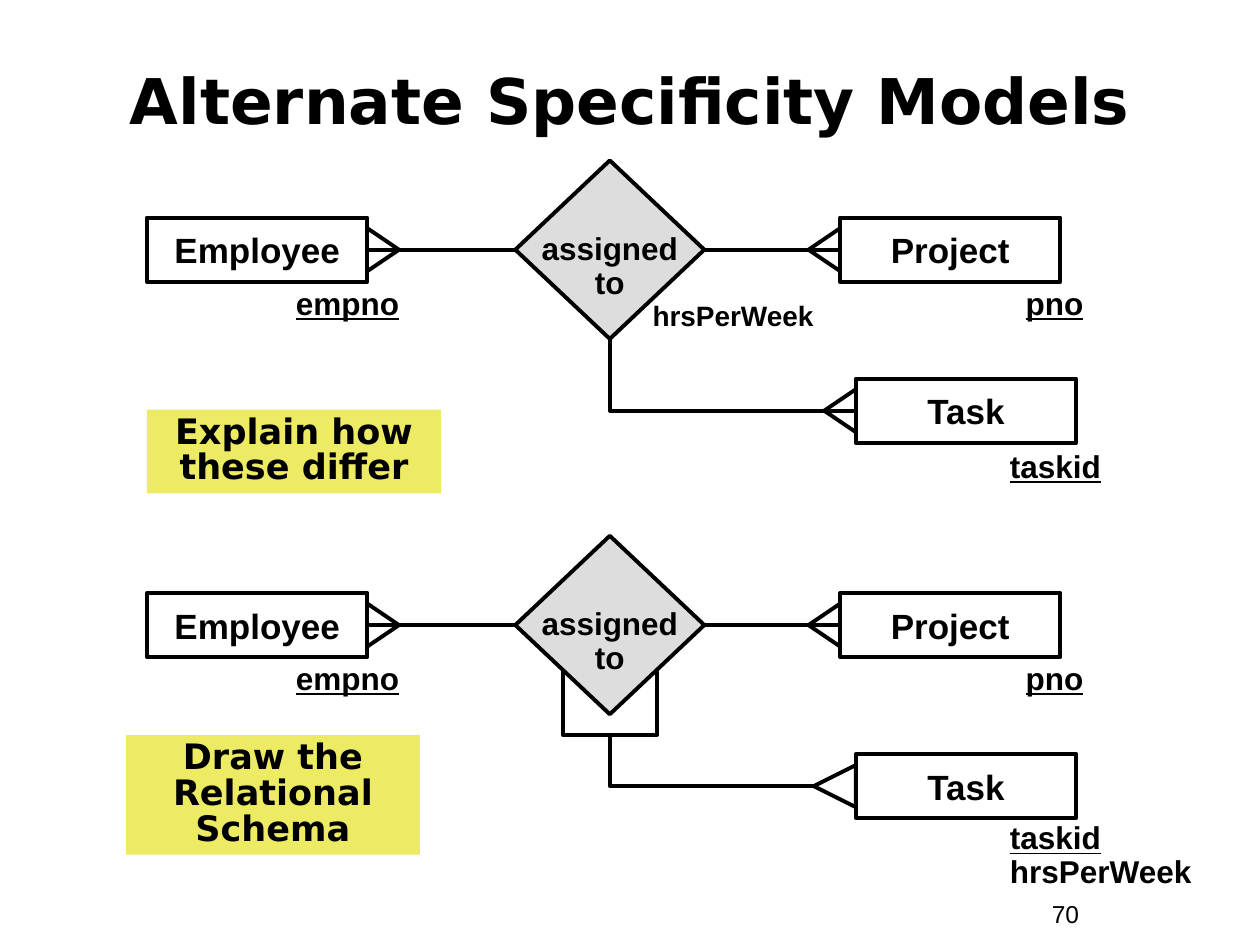
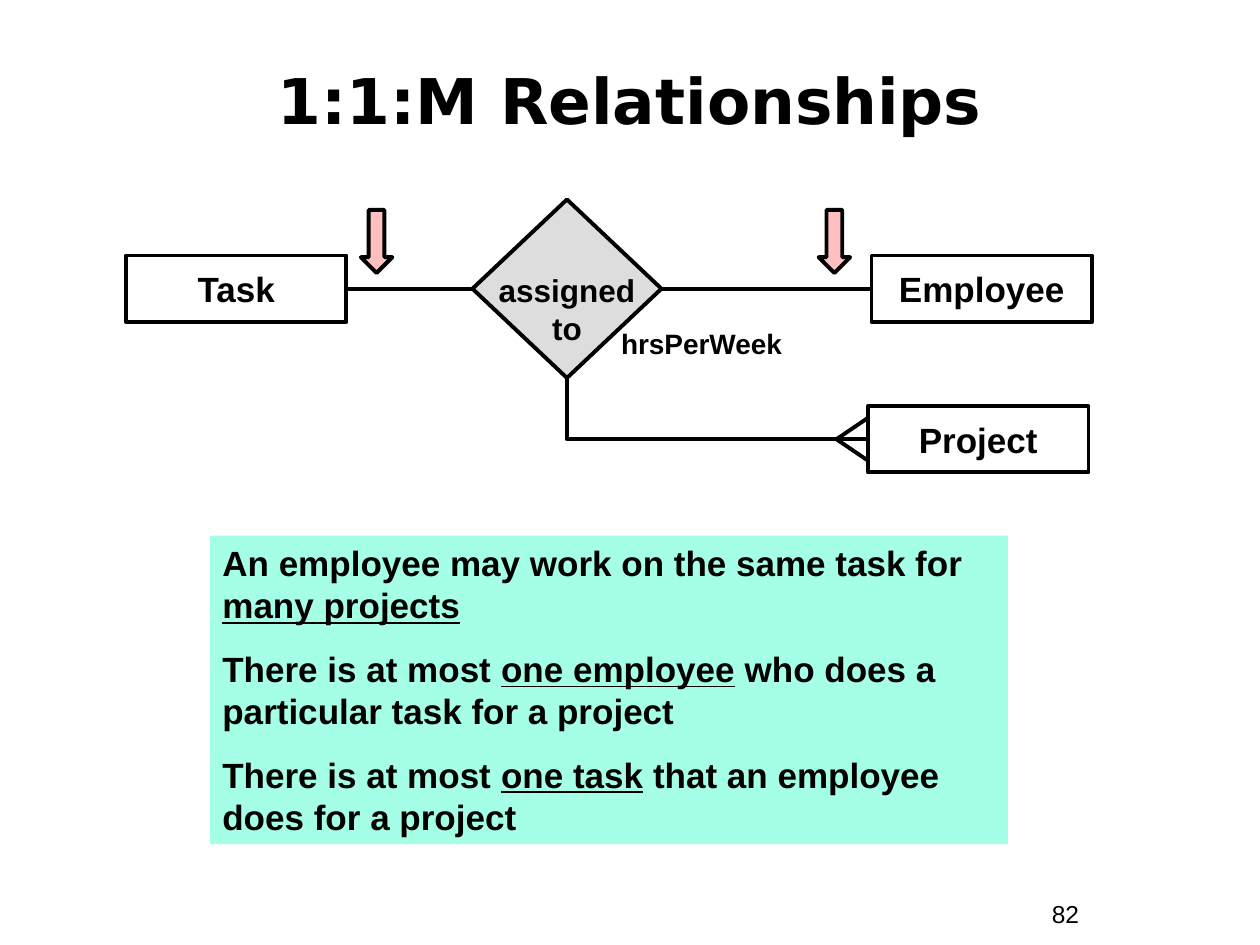
from dataclasses import dataclass
from typing import NamedTuple

from lxml.etree import SubElement
from pptx import Presentation
from pptx.dml.color import RGBColor
from pptx.enum.shapes import MSO_CONNECTOR, MSO_SHAPE
from pptx.enum.text import MSO_ANCHOR, PP_ALIGN
from pptx.oxml.ns import qn
from pptx.util import Pt

TOP, LEFT, BOTTOM, RIGHT = range(4)


@dataclass(frozen=True)
class Theme:
    ink: str = "000000"
    diamond: str = "DDDDDD"
    prompt: str = "EDEA63"
    rules: str = "A5FFE7"
    arrow: str = "FFBFBF"
    heading_font: str = "DejaVu Sans"
    body_font: str = "Arial"
    title_size: float = 36
    large_size: float = 20
    key_size: float = 18
    attribute_size: float = 16
    number_size: float = 14
    line_width: float = 2.25


THEME = Theme()


@dataclass(frozen=True)
class TextStyle:
    size: float
    font: str = THEME.body_font
    bold: bool = True
    align: PP_ALIGN = PP_ALIGN.LEFT
    line_spacing: float = 1.0
    gap: float = 0


class Box(NamedTuple):
    left: float
    top: float
    width: float
    height: float


class Span(NamedTuple):
    text: str
    underline: bool = False


class Entity(NamedTuple):
    name: str
    left: float
    middle: float
    height: float = 36.7


class Label(NamedTuple):
    left: float
    top: float
    width: float
    paragraphs: list
    style: TextStyle


TITLE = TextStyle(THEME.title_size, THEME.heading_font, align=PP_ALIGN.CENTER)
ENTITY = TextStyle(THEME.large_size, align=PP_ALIGN.CENTER)
PROMPT = TextStyle(THEME.large_size, THEME.heading_font, align=PP_ALIGN.CENTER, line_spacing=0.85)
RULES = TextStyle(THEME.large_size, gap=12.5)
KEY = TextStyle(THEME.key_size, line_spacing=0.85)
TASK_KEY = TextStyle(THEME.key_size, line_spacing=0.9)
ATTRIBUTE = TextStyle(THEME.attribute_size, line_spacing=0.9)
NUMBER = TextStyle(THEME.number_size, bold=False)

ENTITY_WIDTH = 126
DIAMOND_WIDTH, DIAMOND_HEIGHT = 108, 102
FOOT_LENGTH, FOOT_SPREAD = 18, 12.2
HOURS = [[Span("hrsPerWeek")]]


def color(value: str) -> RGBColor:
    return RGBColor.from_string(value)


def write(frame, paragraphs: list, style: TextStyle) -> None:
    """Fill a text frame with paragraphs of spans; a newline is a line break."""
    for index, spans in enumerate(paragraphs):
        para = frame.add_paragraph() if index else frame.paragraphs[0]
        para.alignment = style.align
        para.line_spacing = style.line_spacing
        para.space_before = Pt(style.gap if index else 0)
        for text, underline in spans:
            for row, part in enumerate(text.split("\n")):
                if row:
                    para.add_line_break()
                span = para.add_run()
                span.text = part
                span.font.name = style.font
                span.font.size = Pt(style.size)
                span.font.bold = style.bold
                span.font.underline = underline
                span.font.color.rgb = color(THEME.ink)


def add_box(page, kind, box: Box, fill: str = "", outlined: bool = True):
    shape = page.shapes.add_shape(kind, *map(Pt, box))
    shape.shadow.inherit = False
    if fill:
        shape.fill.solid()
        shape.fill.fore_color.rgb = color(fill)
    else:
        shape.fill.background()
    if outlined:
        shape.line.color.rgb = color(THEME.ink)
        shape.line.width = Pt(THEME.line_width)
    else:
        shape.line.fill.background()
    return shape


def add_panel(page, box: Box, fill: str, paragraphs: list, style: TextStyle) -> None:
    frame = add_box(page, MSO_SHAPE.RECTANGLE, box, fill, outlined=False).text_frame
    frame.word_wrap = True
    frame.vertical_anchor = MSO_ANCHOR.TOP
    write(frame, paragraphs, style)


def add_label(page, label: Label) -> None:
    box = page.shapes.add_textbox(Pt(label.left), Pt(label.top), Pt(label.width), Pt(25))
    box.text_frame.word_wrap = True
    write(box.text_frame, label.paragraphs, label.style)


def add_entity(page, entity: Entity):
    box = Box(entity.left, entity.middle - entity.height / 2, ENTITY_WIDTH, entity.height)
    shape = add_box(page, MSO_SHAPE.RECTANGLE, box)
    shape.text_frame.word_wrap = False
    shape.text_frame.vertical_anchor = MSO_ANCHOR.MIDDLE
    write(shape.text_frame, [[Span(entity.name)]], ENTITY)
    return shape


def add_diamond(page, center: float, middle: float, line_spacing: float, inset: float):
    """Draw the relationship; the top inset lowers its name below the middle."""
    box = Box(center - DIAMOND_WIDTH / 2, middle - DIAMOND_HEIGHT / 2, DIAMOND_WIDTH, DIAMOND_HEIGHT)
    shape = add_box(page, MSO_SHAPE.FLOWCHART_DECISION, box, THEME.diamond)
    frame = shape.text_frame
    frame.word_wrap = False
    frame.vertical_anchor = MSO_ANCHOR.MIDDLE
    frame.margin_top = Pt(inset)
    style = TextStyle(THEME.key_size, align=PP_ALIGN.CENTER, line_spacing=line_spacing)
    write(frame, [[Span("assigned\nto")]], style)
    return shape


def add_line(page, start: tuple, end: tuple, kind=MSO_CONNECTOR.STRAIGHT):
    line = page.shapes.add_connector(kind, *map(Pt, start + end))
    line.line.color.rgb = color(THEME.ink)
    line.line.width = Pt(THEME.line_width)
    SubElement(line._element.spPr, qn("a:effectLst"))
    return line


def join(page, first, first_side: int, second, second_side: int) -> None:
    line = add_line(page, (0, 0), (0, 0))
    line.begin_connect(first, first_side)
    line.end_connect(second, second_side)


def add_elbow(page, start: tuple, end: tuple) -> None:
    """Run down from start, then right to end, as a quarter-turned single bend."""
    center, middle = (start[0] + end[0]) / 2, (start[1] + end[1]) / 2
    half_run, half_drop = (end[0] - start[0]) / 2, (end[1] - start[1]) / 2
    line = add_line(page, (center + half_drop, middle - half_run),
                    (center - half_drop, middle + half_run), MSO_CONNECTOR.ELBOW)
    properties = line._element.spPr
    properties.find(qn("a:xfrm")).set("rot", str(270 * 60000))
    properties.find(qn("a:prstGeom")).set("prst", "bentConnector2")


def add_foot(page, edge: float, middle: float, direction: int) -> None:
    """Draw a crow's foot whose tip lies left (-1) or right (1) of the edge."""
    for spread in (-FOOT_SPREAD, FOOT_SPREAD):
        add_line(page, (edge + direction * FOOT_LENGTH, middle), (edge, middle + spread))


def add_page(deck, title: str, number: str):
    page = deck.slides.add_slide(deck.slide_layouts[5])
    heading = page.shapes.title
    heading.left, heading.top, heading.width, heading.height = map(Pt, (24, 24, 672, 66))
    heading.text_frame.vertical_anchor = MSO_ANCHOR.MIDDLE
    write(heading.text_frame, [[Span(title)]], TITLE)
    add_label(page, Label(594, 510, 66, [[Span(number)]], NUMBER))
    return page


def add_assignment(page, middle: float) -> None:
    """Draw Employee, Project and Task around one relationship, with their keys."""
    diamond = add_diamond(page, 348.5, middle, 0.9, 23.6)
    employee = add_entity(page, Entity("Employee", 84, middle))
    project = add_entity(page, Entity("Project", 480, middle))
    add_entity(page, Entity("Task", 489, middle + 92))
    join(page, employee, RIGHT, diamond, LEFT)
    join(page, diamond, RIGHT, project, LEFT)
    add_foot(page, 84 + ENTITY_WIDTH, middle, 1)
    add_foot(page, 480, middle, -1)
    for left, width, key in ((162, 90, "empno"), (579, 72, "pno")):
        add_label(page, Label(left, middle + 19.3, width, [[Span(key, True)]], KEY))


def build_alternate_models(deck) -> None:
    page = add_page(deck, "Alternate Specificity Models", "70")
    upper, lower = 142.7, 357.2
    task_key = [Span("taskid", True)]

    add_assignment(page, upper)
    add_elbow(page, (348.5, upper + DIAMOND_HEIGHT / 2), (489, upper + 92))
    add_foot(page, 489, upper + 92, -1)
    add_label(page, Label(365.8, 169.2, 108, HOURS, ATTRIBUTE))
    add_label(page, Label(570, 254.2, 132, [task_key], TASK_KEY))

    add_box(page, MSO_SHAPE.RECTANGLE, Box(321.5, 384, 54, 36))
    add_assignment(page, lower)
    add_elbow(page, (348.5, 420), (464.5, lower + 92))
    foot = add_box(page, MSO_SHAPE.FLOWCHART_EXTRACT, Box(465, lower + 80, 24, 24))
    foot.rotation = 270
    add_label(page, Label(570, 466.6, 126, [task_key, *HOURS], TASK_KEY))

    for box, text in (
        (Box(84, 234, 168, 48), "Explain how these differ"),
        (Box(72, 420, 168, 68.4), "Draw the\nRelational\nSchema"),
    ):
        add_panel(page, box, THEME.prompt, [[Span(text)]], PROMPT)


def build_one_one_many(deck) -> None:
    page = add_page(deck, "1:1:M Relationships", "82")
    middle, project_middle = 165, 251
    diamond = add_diamond(page, 324, middle, 1.0, 27)
    task = add_entity(page, Entity("Task", 72, middle, 38))
    employee = add_entity(page, Entity("Employee", 498, middle, 38))
    add_entity(page, Entity("Project", 496, project_middle, 38))
    join(page, task, RIGHT, diamond, LEFT)
    join(page, diamond, RIGHT, employee, LEFT)
    add_elbow(page, (324, middle + DIAMOND_HEIGHT / 2), (496, project_middle))
    add_foot(page, 496, project_middle, -1)
    add_label(page, Label(347.8, 185, 126, HOURS, ATTRIBUTE))
    for left in (206.2, 467.8):
        add_box(page, MSO_SHAPE.DOWN_ARROW, Box(left, 120, 18, 36), THEME.arrow)
    add_panel(page, Box(120, 306, 456, 176.4), THEME.rules, [
        [Span("An employee may work on the same task for "), Span("many projects", True)],
        [Span("There is at most "), Span("one employee", True),
         Span(" who does a particular task for a project")],
        [Span("There is at most "), Span("one task", True),
         Span(" that an employee does for a project")],
    ], RULES)


def main() -> None:
    deck = Presentation()
    deck.slide_width, deck.slide_height = Pt(720), Pt(540)
    build_alternate_models(deck)
    build_one_one_many(deck)
    deck.save("out.pptx")


if __name__ == "__main__":
    main()
